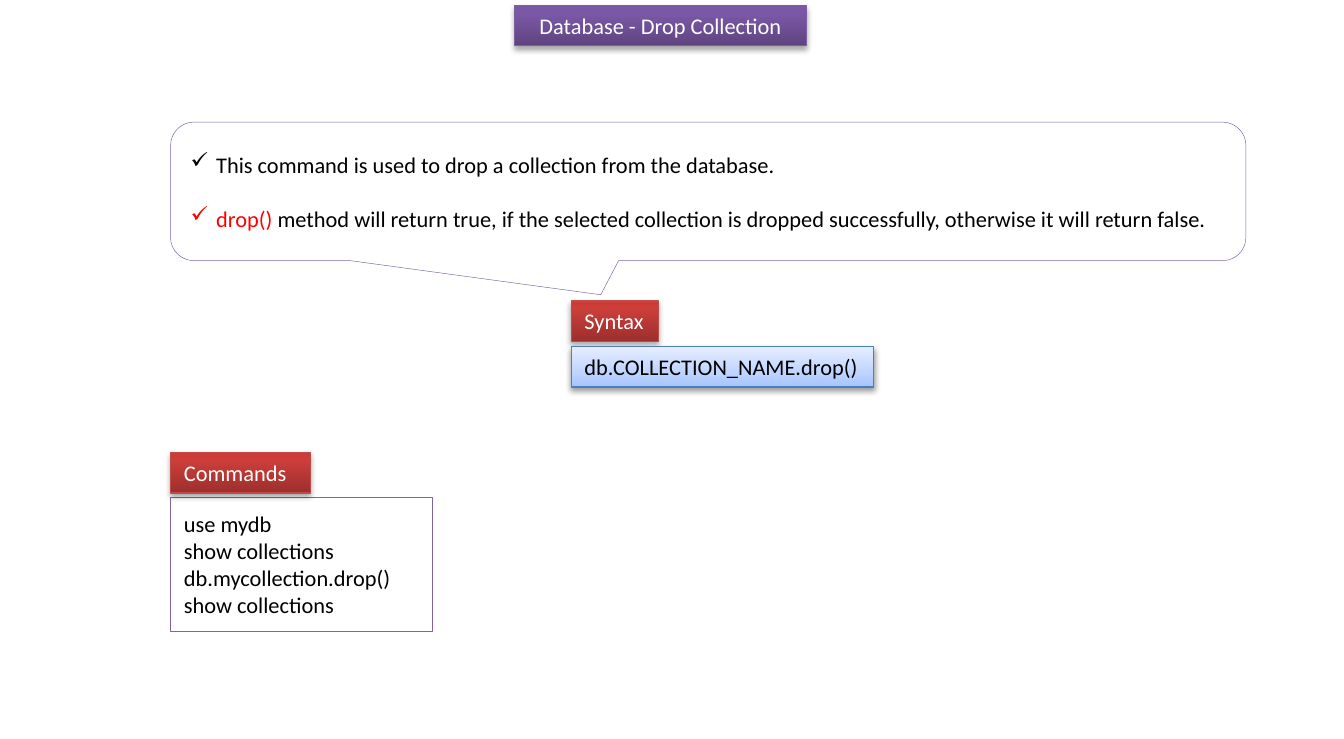
from dataclasses import dataclass

import pptx
import pptx.dml.color
import pptx.enum.shapes
import pptx.enum.text
import pptx.oxml
import pptx.oxml.ns
import pptx.util
from lxml import etree
from pptx.util import Inches

SHAPE = pptx.enum.shapes.MSO_SHAPE
ANCHOR = pptx.enum.text.MSO_ANCHOR
ALIGN = pptx.enum.text.PP_ALIGN
qn = pptx.oxml.ns.qn


@dataclass(frozen=True)
class LabelStyle:
    stops: tuple[tuple[int, str], ...]  # position in percent, colour
    line: str
    text: str
    shadow_alpha: int
    shadow_distance: float


@dataclass(frozen=True)
class Theme:
    font: str = "Calibri"
    size: float = 12
    line_gap: float = 14.6
    text: str = "000000"
    accent: str = "FF0000"
    panel_fill: str = "FFFFFF"
    panel_line: str = "8064A2"
    purple: LabelStyle = LabelStyle(
        ((0, "5F4480"), (80, "7B58A6"), (100, "7C57A8")), "7D60A0", "FFFFFF", 35, 1.8)
    red: LabelStyle = LabelStyle(
        ((0, "9C2F2D"), (80, "CB3E3A"), (100, "CE3B37")), "BF4C48", "FFFFFF", 35, 1.8)
    blue: LabelStyle = LabelStyle(
        ((0, "A4C4FF"), (35, "BFD4FF"), (100, "E6EEFF")), "4B7EBC", "000000", 38, 1.6)


@dataclass(frozen=True)
class Label:
    text: str
    left: float
    top: float
    width: float
    style: LabelStyle
    align: ALIGN = ALIGN.LEFT
    wrap: bool = True


THEME = Theme()
LABEL_HEIGHT = 0.3
LEFT_EDGE = 1.27
SYNTAX_LEFT = 4.25

TITLE = Label("Database - Drop Collection", 3.83, 0.04, 2.17, THEME.purple, ALIGN.CENTER)
SYNTAX = Label("Syntax", SYNTAX_LEFT, 2.24, 0.65, THEME.red, wrap=False)
SYNTAX_CODE = Label("db.COLLECTION_NAME.drop()", SYNTAX_LEFT, 2.58, 2.25, THEME.blue, wrap=False)
COMMANDS = Label("Commands", LEFT_EDGE, 3.37, 1.04, THEME.red)

# Each point is a list of (text, colour) runs
POINTS = [
    [("This command is used to drop a collection from the database.", THEME.text)],
    [("drop()", THEME.accent),
     (" method will return true, if the selected collection is dropped successfully, "
      "otherwise it will return false.", THEME.text)],
]
COMMAND_LINES = ["use mydb", "show collections", "db.mycollection.drop()", "show collections"]


def rgb(value: str) -> pptx.dml.color.RGBColor:
    return pptx.dml.color.RGBColor.from_string(value)


def set_font(paragraph, color: str | None = None) -> None:
    paragraph.font.name = THEME.font
    paragraph.font.size = pptx.util.Pt(THEME.size)
    if color:
        paragraph.font.color.rgb = rgb(color)


def add_color(parent, value: str):
    return etree.SubElement(parent, qn("a:srgbClr"), val=value)


def fill_gradient(shape, stops: tuple[tuple[int, str], ...]) -> None:
    shape.fill.gradient()
    shape.fill.gradient_angle = 90
    stop_list = shape.element.spPr.find(".//" + qn("a:gsLst"))
    for old_stop in list(stop_list):
        stop_list.remove(old_stop)
    for position, color in stops:
        add_color(etree.SubElement(stop_list, qn("a:gs"), pos=str(position * 1000)), color)


def add_shadow(shape, style: LabelStyle) -> None:
    effects = shape.element.spPr.find(qn("a:effectLst"))
    shadow = etree.SubElement(
        effects, qn("a:outerShdw"), blurRad=str(pptx.util.Pt(3.1)),
        dist=str(pptx.util.Pt(style.shadow_distance)), dir="5400000", rotWithShape="0")
    etree.SubElement(add_color(shadow, "000000"), qn("a:alpha"),
                     val=str(style.shadow_alpha * 1000))


def add_box(slide, kind: SHAPE, left: float, top: float, width: float, height: float,
            line: str, line_width: float, anchor: ANCHOR):
    shape = slide.shapes.add_shape(kind, Inches(left), Inches(top), Inches(width), Inches(height))
    shape.line.color.rgb = rgb(line)
    shape.line.width = pptx.util.Pt(line_width)
    shape.shadow.inherit = False
    shape.text_frame.word_wrap = True
    shape.text_frame.vertical_anchor = anchor
    return shape


def add_label(slide, label: Label) -> None:
    shape = add_box(slide, SHAPE.RECTANGLE, label.left, label.top, label.width, LABEL_HEIGHT,
                    label.style.line, 0.75, ANCHOR.TOP)
    fill_gradient(shape, label.style.stops)
    add_shadow(shape, label.style)
    frame = shape.text_frame
    frame.word_wrap = label.wrap
    frame.auto_size = pptx.enum.text.MSO_AUTO_SIZE.SHAPE_TO_FIT_TEXT
    paragraph = frame.paragraphs[0]
    paragraph.text = label.text
    paragraph.alignment = label.align
    set_font(paragraph, label.style.text)


def add_panel(slide, kind: SHAPE, top: float, width: float, height: float):
    shape = add_box(slide, kind, LEFT_EDGE, top, width, height,
                    THEME.panel_line, 0.25, ANCHOR.MIDDLE)
    shape.fill.solid()
    shape.fill.fore_color.rgb = rgb(THEME.panel_fill)
    return shape


def add_check_bullet(paragraph, color: str) -> None:
    properties = paragraph._p.get_or_add_pPr()
    properties.set("marL", str(Inches(0.19)))
    properties.set("indent", str(Inches(-0.19)))
    add_color(etree.SubElement(properties, qn("a:buClr")), color)
    etree.SubElement(properties, qn("a:buChar"), char="✓")


def add_points(slide) -> None:
    callout = add_panel(slide, SHAPE.ROUNDED_RECTANGULAR_CALLOUT, 0.91, 8, 1.03)
    for index, value in enumerate((-0.1, 0.747, 0.167)):
        callout.adjustments[index] = value
    frame = callout.text_frame
    for index, runs in enumerate(POINTS):
        paragraph = frame.add_paragraph() if index else frame.paragraphs[0]
        paragraph.alignment = ALIGN.LEFT
        if index:
            paragraph.space_before = pptx.util.Pt(THEME.line_gap)
        add_check_bullet(paragraph, runs[0][1])
        set_font(paragraph)
        for text, color in runs:
            run = paragraph.add_run()
            run.text = text
            run.font.color.rgb = rgb(color)


def add_commands(slide) -> None:
    frame = add_panel(slide, SHAPE.RECTANGLE, 3.7, 1.95, 1).text_frame
    frame.text = "\n".join(COMMAND_LINES)
    for paragraph in frame.paragraphs:
        paragraph.alignment = ALIGN.LEFT
        set_font(paragraph, THEME.text)


def main() -> None:
    deck = pptx.Presentation()
    deck.slide_width, deck.slide_height = Inches(10), Inches(5.5)
    slide = deck.slides.add_slide(deck.slide_layouts[6])

    # Title and syntax
    for label in (TITLE, SYNTAX, SYNTAX_CODE):
        add_label(slide, label)

    # Explanation callout
    add_points(slide)

    # Example commands
    add_commands(slide)
    add_label(slide, COMMANDS)

    deck.save("out.pptx")


if __name__ == "__main__":
    main()
